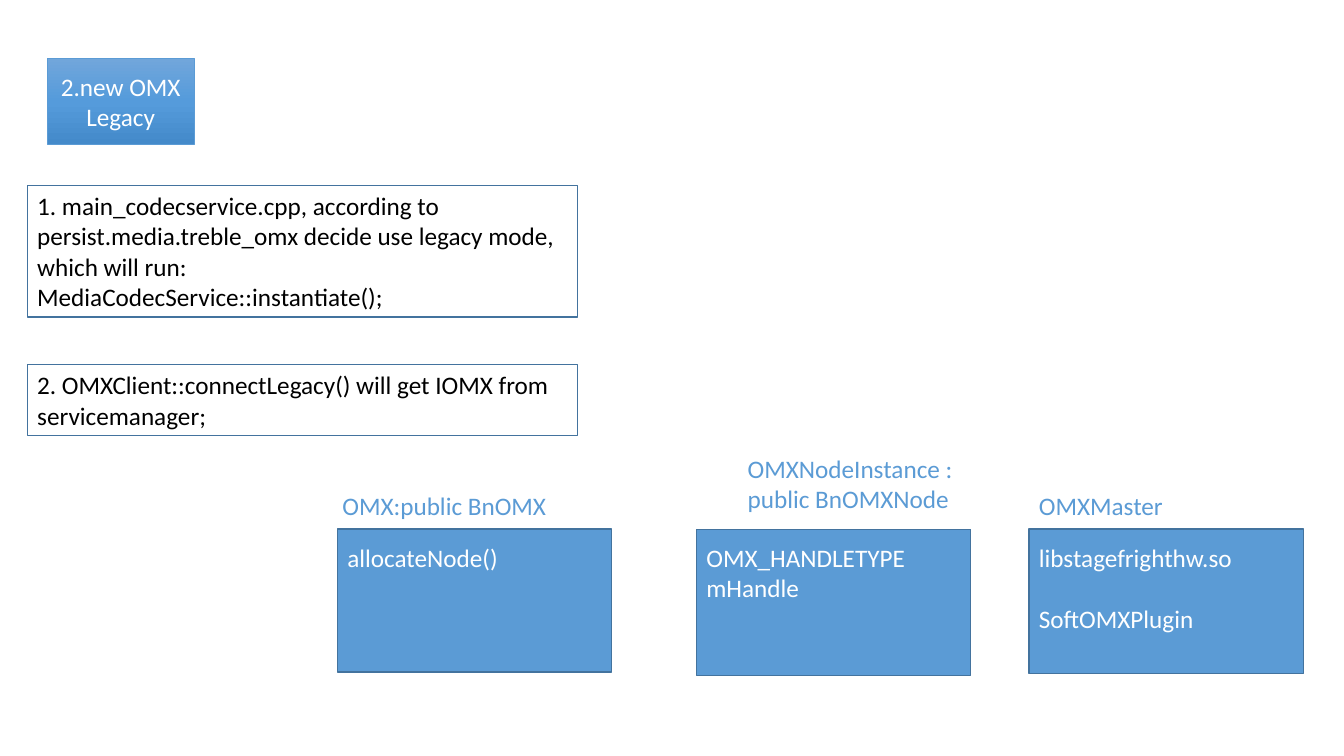
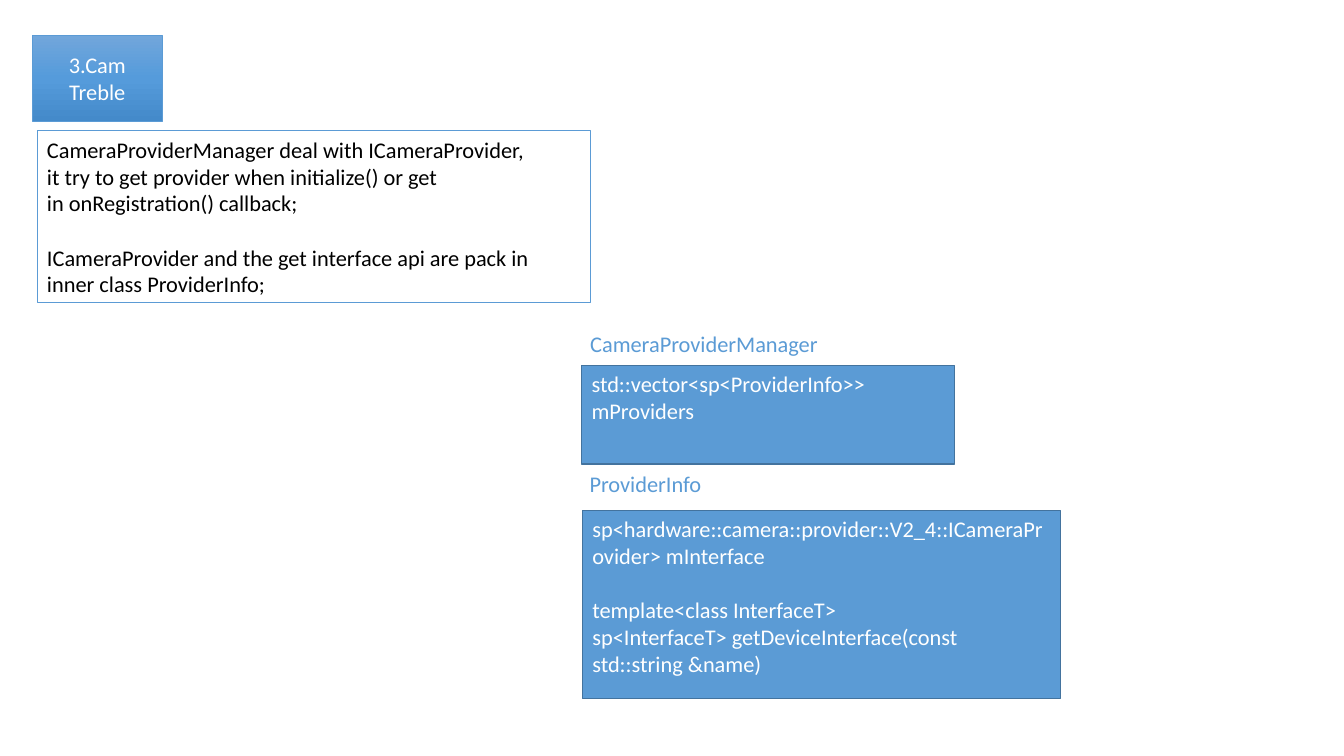
from copy import deepcopy

from pptx import Presentation
from pptx.dml.color import RGBColor
from pptx.enum.shapes import MSO_SHAPE
from pptx.enum.text import MSO_ANCHOR, MSO_AUTO_SIZE, PP_ALIGN
from pptx.util import Pt

FONT = "Calibri"
COLORS = {"blue": "5B9BD5", "edge": "43739E", "white": "FFFFFF", "black": "000000"}
BADGE_STOPS = [(0, "71A6DB"), (0.5, "559BDB"), (1, "448ACA")]
LINE_HEIGHT = 1.22

# Places are (left, top, width, height) in points.
# Text is a list of blocks; each block is a list of paragraphs.
SLIDES = [
    {
        "size": 18,
        "inset": 9.5,
        "title": ((34, 42, 104.5, 61), [["2.new OMX", "Legacy"]]),
        "note_line": ("edge", 1),
        "notes": [
            ((19.5, 132.5, 393, 94), [[
                "1. main_codecservice.cpp, according to persist.media.treble_omx "
                "decide use legacy mode, which will run:",
                "MediaCodecService::instantiate();",
            ]]),
            ((19.5, 260.5, 393, 50.5), [[
                "2. OMXClient::connectLegacy() will get IOMX from servicemanager;",
            ]]),
        ],
        "classes": [
            ((241, 378, 196, 102), [["allocateNode()"]]),
            ((497.5, 378, 196, 104.5), [["OMX_HANDLETYPE mHandle"]]),
            ((735, 378, 196, 103), [["libstagefrighthw.so"], ["SoftOMXPlugin"]]),
        ],
        "labels": [
            ((237.5, 347, 180, 29), [["OMX:public BnOMX"]]),
            ((527, 320, 168, 50.5), [["OMXNodeInstance :", "public BnOMXNode"]]),
            ((735, 347, 120, 29), [["OMXMaster"]]),
        ],
    },
    {
        "size": 16,
        "inset": 3.6,
        "title": ((23, 25.5, 93, 61), [["3.Cam", "Treble"]]),
        "note_line": ("blue", 0.75),
        "notes": [
            ((26.5, 93.5, 395.5, 122.5), [
                [
                    "CameraProviderManager deal with ICameraProvider,",
                    "it try to get provider when initialize() or get",
                    "in onRegistration() callback;",
                ],
                ["ICameraProvider and the get interface api are pack in "
                 "inner class ProviderInfo;"],
            ]),
        ],
        "classes": [
            ((415.5, 261, 266.5, 70.5), [["std::vector<sp<ProviderInfo>> mProviders"]]),
            ((416, 364.5, 341.5, 134.5), [
                ["sp<hardware::camera::provider::V2_4::ICameraProvider> mInterface"],
                [
                    "template<class InterfaceT>",
                    "sp<InterfaceT> getDeviceInterface(const std::string &name)",
                ],
            ]),
        ],
        "labels": [
            ((414.5, 232, 184, 26.5), [["CameraProviderManager"]]),
            ((414, 332, 137.5, 26.5), [["ProviderInfo"]]),
        ],
    },
]


def rgb(name):
    return RGBColor.from_string(COLORS[name])


def write(sp, blocks, size=18, color="black", align=PP_ALIGN.LEFT,
          anchor=MSO_ANCHOR.TOP, inset=3.6):
    """Fill a shape with blocks of paragraphs, one line of space between blocks."""
    tf = sp.text_frame
    tf.word_wrap = True
    tf.auto_size = MSO_AUTO_SIZE.NONE
    tf.vertical_anchor = anchor
    tf.margin_left = tf.margin_right = Pt(7.2)
    tf.margin_top, tf.margin_bottom = Pt(inset), Pt(3.6)
    p = None
    for block in blocks:
        for i, text in enumerate(block):
            new_block = p is not None and i == 0
            p = tf.paragraphs[0] if p is None else tf.add_paragraph()
            p.alignment = align
            p.line_spacing = 1.0
            p.space_before = Pt(round(size * LINE_HEIGHT, 1) if new_block else 0)
            r = p.add_run()
            r.text = text
            r.font.name = FONT
            r.font.size = Pt(size)
            r.font.color.rgb = rgb(color)


def set_line(sp, color, width):
    sp.line.color.rgb = rgb(color)
    sp.line.width = Pt(width)


def add_box(s, place, line, fill=None):
    sp = s.shapes.add_shape(MSO_SHAPE.RECTANGLE, *map(Pt, place))
    sp.shadow.inherit = False
    if fill:
        sp.fill.solid()
        sp.fill.fore_color.rgb = rgb(fill)
    else:
        sp.fill.background()
    set_line(sp, *line)
    return sp


def add_badge(s, place, blocks, size):
    """Turn the title placeholder into the gradient badge."""
    sp = s.shapes.title
    sp.left, sp.top, sp.width, sp.height = map(Pt, place)
    sp.fill.gradient()
    sp.fill.gradient_angle = 270
    first = sp.fill._fill._gradFill.gsLst[0]
    first.addnext(deepcopy(first))
    for stop, (position, color) in zip(sp.fill.gradient_stops, BADGE_STOPS):
        stop.position = position
        stop.color.rgb = RGBColor.from_string(color)
    set_line(sp, "blue", 0.5)
    write(sp, blocks, size=size, color="white", align=PP_ALIGN.CENTER,
          anchor=MSO_ANCHOR.MIDDLE)


def build_slide(prs, content):
    s = prs.slides.add_slide(prs.slide_layouts[5])
    size = content["size"]
    add_badge(s, *content["title"], size)
    for place, blocks in content["notes"]:
        write(add_box(s, place, content["note_line"]), blocks, size=size)
    for place, blocks in content["classes"]:
        write(add_box(s, place, ("edge", 1), fill="blue"), blocks, size=size,
              color="white", inset=content["inset"])
    for place, blocks in content["labels"]:
        write(s.shapes.add_textbox(*map(Pt, place)), blocks, size=size, color="blue")


def main():
    prs = Presentation()
    prs.slide_width, prs.slide_height = Pt(960), Pt(540)
    for content in SLIDES:
        build_slide(prs, content)
    prs.save("out.pptx")


if __name__ == "__main__":
    main()
